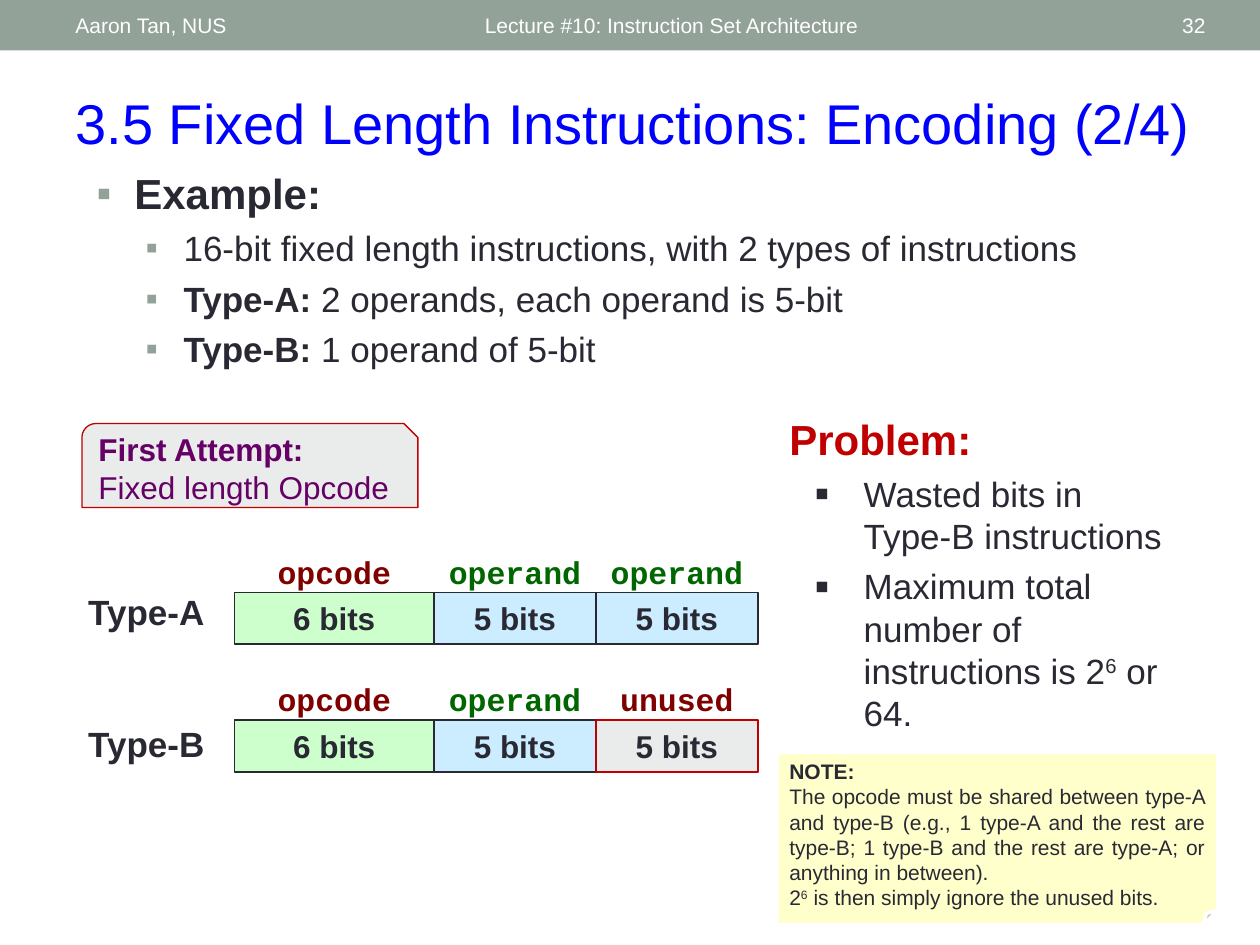
from dataclasses import dataclass

from lxml import etree
from pptx import Presentation
from pptx.dml.color import RGBColor
from pptx.enum.shapes import MSO_SHAPE
from pptx.enum.text import MSO_ANCHOR, MSO_AUTO_SIZE, PP_ALIGN
from pptx.oxml.ns import qn
from pptx.util import Pt


@dataclass(frozen=True)
class Theme:
    font: str = "Arial"
    mono: str = "Courier New"
    band: str = "93A299"
    white: str = "FFFFFF"
    title: str = "0000FF"
    ink: str = "292934"
    red: str = "C00000"
    purple: str = "660066"
    maroon: str = "800000"
    green: str = "006600"
    opcode_fill: str = "CCFFCC"
    operand_fill: str = "CCECFF"
    grey_fill: str = "E9ECEB"
    note_fill: str = "FFFFCC"
    title_size: int = 32
    head_size: int = 24
    list_size: int = 20
    cell_size: int = 18
    small_size: int = 12


T = Theme()


def write(sp, paras, size, color, font=T.font, anchor=MSO_ANCHOR.TOP, inset=None):
    """Fill a shape; each paragraph is (format, runs), each run (text, format)."""
    tf = sp.text_frame
    frame = {"word_wrap": True, "auto_size": MSO_AUTO_SIZE.NONE, "vertical_anchor": anchor}
    if inset is not None:
        frame |= {f"margin_{side}": Pt(inset) for side in ("left", "top", "right", "bottom")}
    for name, value in frame.items():
        setattr(tf, name, value)
    for i, (fmt, runs) in enumerate(paras):
        p = tf.paragraphs[0] if i == 0 else tf.add_paragraph()
        p.alignment = fmt.get("align", PP_ALIGN.LEFT)
        p.level = fmt.get("level", 0)
        p.space_before = Pt(fmt.get("before", 0))
        if "bullet" in fmt:
            margin, hang, bullet_color, percent = fmt["bullet"]
            pPr = p._p.get_or_add_pPr()
            pPr.set("marL", str(Pt(margin)))
            pPr.set("indent", str(-Pt(hang)))
            clr = etree.SubElement(pPr, qn("a:buClr"))
            etree.SubElement(clr, qn("a:srgbClr"), val=bullet_color)
            etree.SubElement(pPr, qn("a:buSzPct"), val=str(percent * 1000))
            etree.SubElement(pPr, qn("a:buFont"), typeface=T.font)
            etree.SubElement(pPr, qn("a:buChar"), char="▪")
        for text, look in runs:
            if text == "\n":
                p.add_line_break()
                continue
            r = p.add_run()
            r.text = text
            values = {"name": font, "size": Pt(fmt.get("size", size)),
                      "bold": look.get("bold", False)}
            for name, value in values.items():
                setattr(r.font, name, value)
            r.font.color.rgb = RGBColor.from_string(look.get("color", color))
            if look.get("super"):
                r._r.get_or_add_rPr().set("baseline", "30000")


def add_box(shapes, kind, box, fill, line=None, width=1):
    sp = shapes.add_shape(kind, *map(Pt, box))
    sp.shadow.inherit = False
    sp.fill.solid()
    sp.fill.fore_color.rgb = RGBColor.from_string(fill)
    if line:
        sp.line.color.rgb = RGBColor.from_string(line)
        sp.line.width = Pt(width)
    else:
        sp.line.fill.background()
    return sp


prs = Presentation()
prs.slide_width, prs.slide_height = Pt(720), Pt(540)
s = prs.slides.add_slide(prs.slide_layouts[1])
bold, plain, power = {"bold": True}, {}, {"super": True}

# Header band
add_box(s.shapes, MSO_SHAPE.RECTANGLE, (0, 0, 720, 28.8), T.band)
for text, left, width, align in [
    ("Aaron Tan, NUS", 36, 228, PP_ALIGN.LEFT),
    ("Lecture #10: Instruction Set Architecture", 270, 324, PP_ALIGN.LEFT),
    ("32", 628, 68, PP_ALIGN.RIGHT),
]:
    sp = s.shapes.add_textbox(Pt(left), Pt(1.5), Pt(width), Pt(26))
    write(sp, [({"align": align}, [(text, plain)])], T.small_size, T.white,
          anchor=MSO_ANCHOR.MIDDLE)

# Title and example list
title, body = s.placeholders
for sp, box in ((title, (36, 47, 660, 46)), (body, (48, 92, 648, 132))):
    sp.left, sp.top, sp.width, sp.height = map(Pt, box)
write(title, [({}, [("3.5 Fixed Length Instructions: Encoding (2/4)", plain)])],
      T.title_size, T.title, anchor=MSO_ANCHOR.MIDDLE)
item = {"level": 1, "before": 5, "bullet": (49.7, 21.6, T.band, 100)}
write(body, [
    ({"size": T.head_size, "bullet": (21.6, 21.6, T.band, 100)}, [("Example:", bold)]),
    (item, [("16-bit fixed length instructions, with 2 types of instructions", plain)]),
    (item, [("Type-A: ", bold), ("2 operands, each operand is 5-bit", plain)]),
    (item, [("Type-B: ", bold), ("1 operand of 5-bit", plain)]),
], T.list_size, T.ink)

# Instruction formats: one row of labelled fields per type
opcode = ("opcode", "6 bits", T.maroon, T.opcode_fill, T.ink)
operand = ("operand", "5 bits", T.green, T.operand_fill, T.ink)
unused = ("unused", "5 bits", T.maroon, T.grey_fill, T.red)
columns = [(134, 114), (248, 92.5), (340.5, 92.5)]
label_width = 87
centered = {"align": PP_ALIGN.CENTER}
for name, name_top, top, fields in [
    ("Type-A", 334, 338.5, (opcode, operand, operand)),
    ("Type-B", 409.5, 411.5, (opcode, operand, unused)),
]:
    shapes = s.shapes.add_group_shape().shapes
    sp = shapes.add_textbox(Pt(30), Pt(name_top), Pt(94), Pt(31))
    write(sp, [({"align": PP_ALIGN.RIGHT}, [(name, bold)])], T.list_size, T.ink)
    for (left, width), (label, bits, color, fill, line) in zip(columns, fields):
        sp = add_box(shapes, MSO_SHAPE.RECTANGLE, (left, top, width, 29.5), fill, line)
        write(sp, [(centered, [(bits, bold)])], T.cell_size, T.ink, anchor=MSO_ANCHOR.MIDDLE)
        sp = shapes.add_textbox(Pt(left + (width - label_width) / 2), Pt(top - 23.5),
                                Pt(label_width), Pt(23))
        write(sp, [(centered, [(label, bold)])], T.cell_size, color, T.mono, inset=0.7)

# Problem list
sp = s.shapes.add_textbox(Pt(444), Pt(232.5), Pt(240), Pt(204))
item = {"level": 1, "before": 5, "bullet": (42.5, 28, T.ink, 120)}
write(sp, [
    ({"size": T.head_size}, [("Problem:", {"bold": True, "color": T.red})]),
    (item, [("Wasted bits in", plain), ("\n", plain), ("Type-B instructions", plain)]),
    (item, [("Maximum total number of instructions is 2", plain), ("6", power),
            (" or 64.", plain)]),
], T.list_size, T.ink)

# First attempt tag
sp = add_box(s.shapes, MSO_SHAPE.SNIP_ROUND_RECTANGLE, (46.8, 242, 192, 48),
             T.grey_fill, T.red, 0.75)
write(sp, [({}, [("First Attempt:", bold)]), ({}, [("Fixed length Opcode", plain)])],
      T.cell_size, T.purple, anchor=MSO_ANCHOR.MIDDLE)

# Note with a small folded corner
sp = add_box(s.shapes, MSO_SHAPE.FOLDED_CORNER, (444, 430, 252, 98.5),
             T.note_fill, T.white, 2)
guides = next(sp._element.iter(qn("a:avLst")))
etree.SubElement(guides, qn("a:gd"), name="adj", fmla="val 8400")
justified = {"align": PP_ALIGN.JUSTIFY}
write(sp, [
    ({}, [("NOTE:", bold)]),
    (justified, [("The opcode must be shared between type-A and type-B (e.g., 1 type-A and "
                  "the rest are type-B; 1 type-B and the rest are type-A; or anything in "
                  "between).", plain)]),
    (justified, [("2", plain), ("6", power),
                 (" is then simply ignore the unused bits.", plain)]),
], T.small_size, T.ink)

prs.save("out.pptx")
